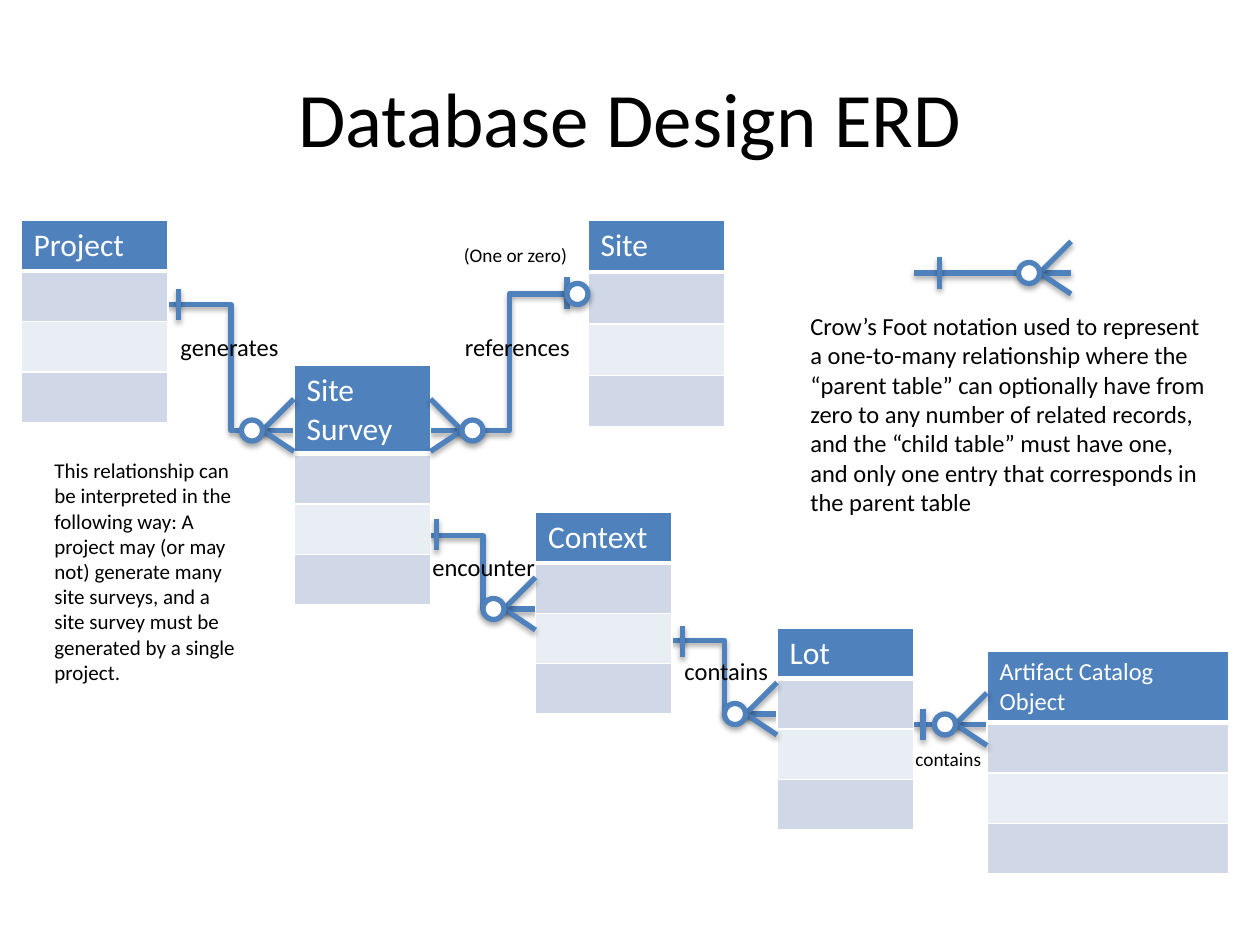
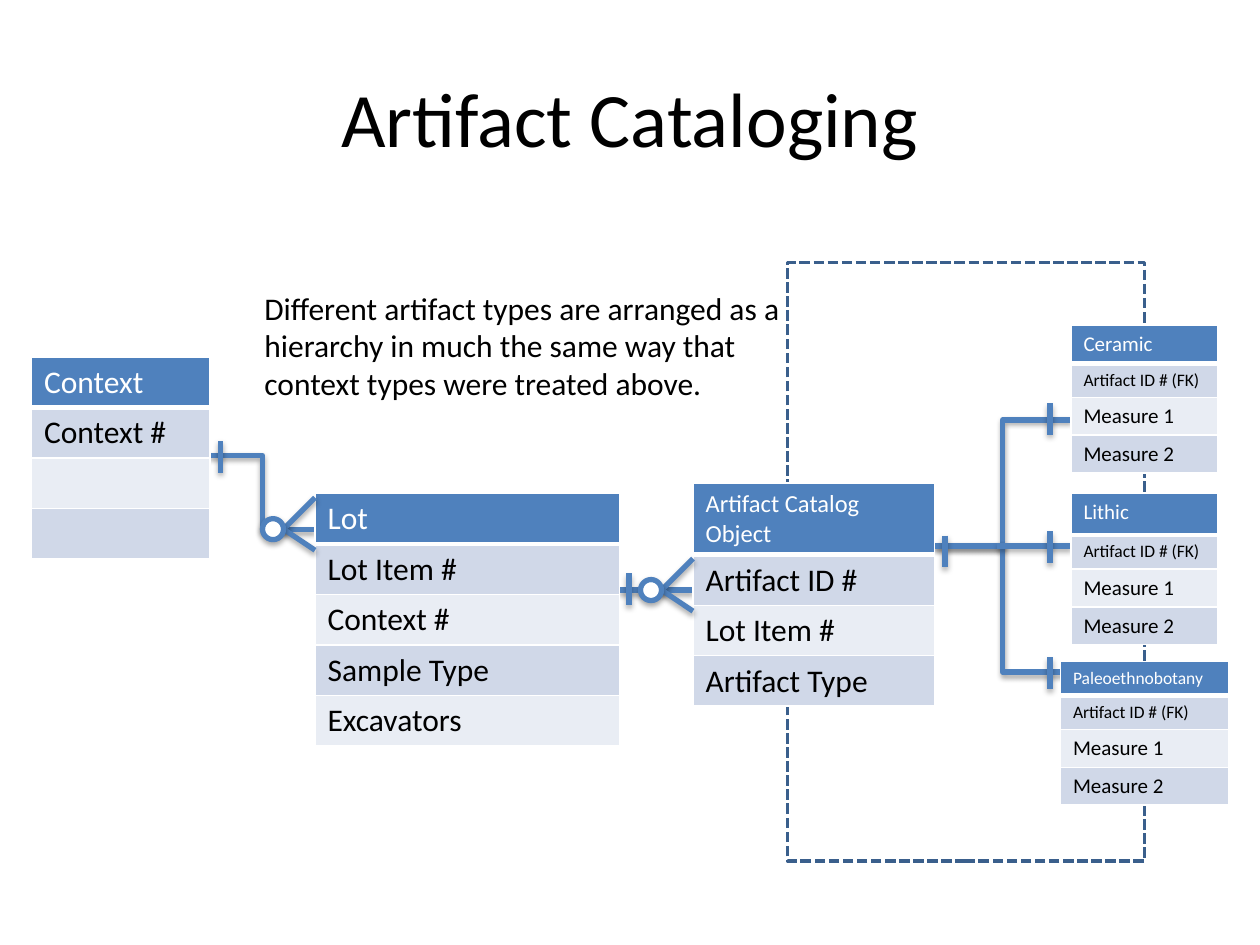
"""Builds two slides of entity diagrams with crow's foot links, on a grid of 120 by 90 cells."""
from lxml import etree
from pptx import Presentation
from pptx.dml.color import RGBColor
from pptx.enum.dml import MSO_LINE
from pptx.enum.shapes import MSO_CONNECTOR, MSO_SHAPE
from pptx.enum.text import MSO_ANCHOR, PP_ALIGN
from pptx.oxml import parse_xml
from pptx.util import Inches, Pt

BLUE = RGBColor(0x4F, 0x81, 0xBD)
NAVY = RGBColor(0x3A, 0x5F, 0x8C)
PALE = RGBColor(0xE9, 0xED, 0xF4)
MIST = RGBColor(0xD0, 0xD8, 0xE8)
WHITE = RGBColor(0xFF, 0xFF, 0xFF)
BLACK = RGBColor(0, 0, 0)
OVAL, RECT = MSO_SHAPE.OVAL, MSO_SHAPE.RECTANGLE
LINE, ELBOW = MSO_CONNECTOR.STRAIGHT, MSO_CONNECTOR.ELBOW
DASH = MSO_LINE.SQUARE_DOT
MIDDLE, CENTER = MSO_ANCHOR.MIDDLE, PP_ALIGN.CENTER
FONT = "Calibri"
NS = "http://schemas.openxmlformats.org/drawingml/2006/main"
SHADOW = (f'<a:effectLst xmlns:a="{NS}"><a:outerShdw blurRad="40000" dist="23000" '
          'dir="5400000" rotWithShape="0"><a:srgbClr val="000000"><a:alpha val="35000"/>'
          '</a:srgbClr></a:outerShdw></a:effectLst>')
CELL = Inches(10) / 120
HIGH = {18: 0.4, 12: 0.3, 10: 0.27}


def write(frame, text, size, color=BLACK):
    """Adds one run to the first paragraph of a frame."""
    run = frame.paragraphs[0].add_run()
    run.text = text
    run.font.name, run.font.size = FONT, Pt(size)
    run.font.color.rgb = color


def ink(item):
    """Gives a link or mark its blue line and soft shadow."""
    item.line.color.rgb, item.line.width = BLUE, Pt(3)
    item._element.spPr.append(parse_xml(SHADOW))


BLANK = [("", 18)] * 3
MEASURES = [("Artifact ID # (FK)", 10), ("Measure 1", 12), ("Measure 2", 12)]
ITEMS = [(name, 18) for name in ("Lot Item #", "Context #", "Sample Type", "Excavators")]
KEYS = [(name, 18) for name in ("Artifact ID #", "Lot Item #", "Artifact Type")]

PAGES = [
    dict(
        title="Database Design ERD",
        frames=[],
        tables=[
            (2, 21, 14, "Project", 18, 0.4, BLANK),
            (28, 34.8, 13, "Site Survey", 18, 0.7, BLANK),
            (56, 21, 13, "Site", 18, 0.41, BLANK),
            (94, 62, 23, "Artifact Catalog Object", 14, 0.57, BLANK),
            (74, 59.8, 13, "Lot", 18, 0.4, BLANK),
            (51, 48.8, 13, "Context", 18, 0.4, BLANK),
        ],
        bends=[(16, 29, 28, 41), (41, 41, 56, 28), (41, 51, 51, 58), (64, 61, 74, 68)],
        lines=[(87, 69, 94, 69), (87, 26, 102, 26)],
        feet=[(28, 41, 1), (51, 58, 1), (74, 68, 1), (94, 69, 1), (41, 41, -1), (102, 26, 1)],
        ticks=[(87.9, 69), (65, 61.1), (41.6, 50.9), (17, 29), (54, 27.9), (89.5, 26)],
        rings=[(55, 28)],
        notes=[
            (76, 29, 41, 23.9, 14, True,
             "Crow’s Foot notation used to represent a one-to-many relationship where the "
             "“parent table” can optionally have from zero to any number of related records, "
             "and the “child table” must have one, and only one entry that corresponds in "
             "the parent table"),
            (16, 31, 11.9, 4, 14, False, "generates"),
            (43.1, 31, 12.5, 4, 14, False, "references"),
            (40, 52, 12.2, 4, 14, False, "encounter"),
            (64, 61.9, 10.4, 4, 14, False, "contains"),
            (86, 70.6, 8.8, 3.5, 11, False, "contains"),
            (43, 22.6, 13, 3.5, 11, True, "(One or zero)"),
            (4, 43, 20, 23, 12, True,
             "This relationship can be interpreted in the following way: A project may "
             "(or may not) generate many site surveys, and a site survey must be generated "
             "by a single project."),
        ]),
    dict(
        title="Artifact Cataloging",
        frames=[(75, 25, 34, 57)],
        tables=[
            (66, 46, 23, "Artifact Catalog Object", 14, 0.57, KEYS),
            (30, 47, 29, "Lot", 18, 0.4, ITEMS),
            (3, 34, 17, "Context", 18, 0.4, [("Context #", 18)] + BLANK[1:]),
            (102, 47, 14, "Lithic", 12, 0.33, MEASURES),
            (102, 31, 14, "Ceramic", 12, 0.3, MEASURES),
            (101, 63, 16, "Paleoethnobotany", 10, 0.27, MEASURES),
        ],
        bends=[(20, 43.4, 30, 50.4), (89, 52, 102, 40), (89, 52, 102, 64)],
        lines=[(59, 56.2, 66, 56.2), (95, 52, 102, 52)],
        feet=[(30, 50.4, 1), (66, 56.2, 1)],
        ticks=[(59.9, 56.1), (21, 43.5), (100, 39.9), (100, 52.1), (100, 64.1), (90, 52.5)],
        rings=[],
        notes=[
            (24, 26.9, 52, 12.1, 18, True,
             "Different artifact types are arranged as a hierarchy in much the same way "
             "that context types were treated above."),
        ]),
]

deck = Presentation()
deck.slide_width, deck.slide_height = Inches(10), Inches(7.5)

for page in PAGES:
    shapes = deck.slides.add_slide(deck.slide_layouts[6]).shapes

    for spot in page["frames"]:
        frame = shapes.add_shape(RECT, *[int(n * CELL) for n in spot])
        frame.shadow.inherit = False
        frame.fill.background()
        frame.line.color.rgb, frame.line.width = NAVY, Pt(2)
        frame.line.dash_style = DASH

    title = shapes.add_textbox(*[int(n * CELL) for n in (6, 3.6, 108, 15)]).text_frame
    title.word_wrap, title.vertical_anchor = True, MIDDLE
    title.paragraphs[0].alignment = CENTER
    write(title, page["title"], 44)

    for kind, group in ((ELBOW, page["bends"]), (LINE, page["lines"])):
        for ends in group:
            ink(shapes.add_connector(kind, *[int(n * CELL) for n in ends]))

    for left, top, width, head, size, tall, body in page["tables"]:
        rows = [(head, size)] + body
        highs = [tall] + [max(HIGH[s], tall if head == "Site" else 0) for _, s in body]
        table = shapes.add_table(len(rows), 1, int(left * CELL), int(top * CELL),
                                 int(width * CELL), Inches(sum(highs))).table
        table.first_row = table.horz_banding = False
        for i, (text, points) in enumerate(rows):
            table.rows[i].height = Inches(highs[i])
            cell = table.cell(i, 0)
            props = cell._tc.get_or_add_tcPr()
            for side in "LRTB":
                wide = 3 if i == 0 and side == "B" else 1
                edge = etree.SubElement(props, f"{{{NS}}}ln{side}", w=str(Pt(wide)))
                fill = etree.SubElement(edge, f"{{{NS}}}solidFill")
                etree.SubElement(fill, f"{{{NS}}}srgbClr", val=str(WHITE))
            cell.fill.solid()
            cell.fill.fore_color.rgb = BLUE if i == 0 else (PALE, MIST)[i % 2]
            if text:
                write(cell.text_frame, text, points, BLACK if i else WHITE)

    marks = [(x, y - 1.5, x, y + 1.5) for x, y in page["ticks"]]
    for x, y, way in page["feet"]:
        marks += [(x - 3 * way, y, x, y + rise) for rise in (-3, 2)]
    for ends in marks:
        ink(shapes.add_connector(LINE, *[int(n * CELL) for n in ends]))

    for x, y in page["rings"] + [(x - 4 * way, y) for x, y, way in page["feet"]]:
        ring = shapes.add_shape(OVAL, *[int(n * CELL) for n in (x - 1, y - 1, 2, 2)])
        ring.fill.solid()
        ring.fill.fore_color.rgb = WHITE
        ink(ring)

    for *spot, size, wrap, text in page["notes"]:
        note = shapes.add_textbox(*[int(n * CELL) for n in spot]).text_frame
        note.word_wrap = wrap
        write(note, text, size)

deck.save("out.pptx")
